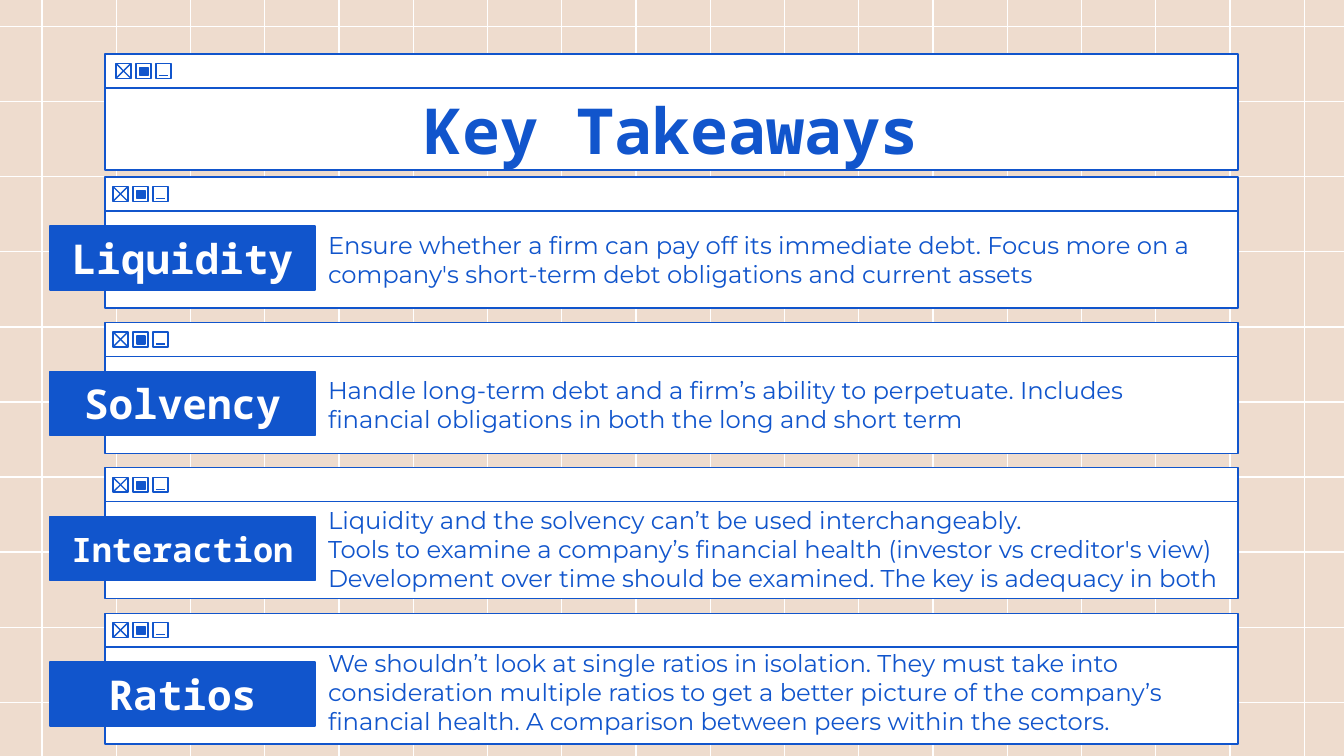
from lxml import etree
from pptx import Presentation
from pptx.dml.color import RGBColor
from pptx.enum.shapes import MSO_CONNECTOR, MSO_SHAPE
from pptx.enum.text import MSO_ANCHOR, MSO_AUTO_SIZE, PP_ALIGN
from pptx.oxml.ns import qn
from pptx.util import Emu, Pt

RECTANGLE = MSO_SHAPE.RECTANGLE
STRAIGHT = MSO_CONNECTOR.STRAIGHT
MIDDLE = MSO_ANCHOR.MIDDLE
NO_AUTOFIT = MSO_AUTO_SIZE.NONE
LEFT, CENTER = PP_ALIGN.LEFT, PP_ALIGN.CENTER

BLUE = RGBColor(0x11, 0x55, 0xCC)
WHITE = RGBColor(0xFF, 0xFF, 0xFF)
SAND = RGBColor(0xEE, 0xDC, 0xCE)
MONO, SANS = "Noto Sans Mono", "Montserrat"

# Lengths in px, 1344 to the 10-inch slide width
SLIDE_WIDTH, SLIDE_HEIGHT = 1344, 756
EMU_PER_PX = 914400 * 10 / SLIDE_WIDTH
LINE_WIDTH = Pt(0.75)
INSET = 13

WINDOW_LEFT, WINDOW_WIDTH = 105, 1133
BAR_HEIGHT, BODY_HEIGHT = 34, 97
TITLE_TOP, TITLE_HEIGHT = 54, 82
FIRST_WINDOW_TOP, WINDOW_STEP = 177, 145.4
BUTTON_SIZE, BUTTON_STEP = 15, 20

# Label, label size, paragraphs, text box top below window top, its height
TAKEAWAYS = [
    ("Liquidity", 22,
     ["Ensure whether a firm can pay off its immediate debt. Focus more on a "
      "company's short-term debt obligations and current assets"], 35, 94),
    ("Solvency", 22,
     ["Handle long-term debt and a firm’s ability to perpetuate. Includes "
      "financial obligations in both the long and short term"], 35, 94),
    ("Interaction", 18,
     ["Liquidity and the solvency can’t be used interchangeably.",
      "Tools to examine a company’s financial health "
      "(investor vs creditor's view)",
      "Development over time should be examined. "
      "The key is adequacy in both"], 34, 94),
    ("Ratios", 22,
     ["We shouldn’t look at single ratios in isolation. They must take into "
      "consideration multiple ratios to get a better picture of the company’s "
      "financial health. A comparison between peers within the sectors."],
     27, 103),
]


def px(length):
    return Emu(round(length * EMU_PER_PX))


def set_outline(shape, color):
    shape.line.color.rgb = color
    shape.line.width = LINE_WIDTH


def add_line(slide, x1, y1, x2, y2, color=BLUE):
    line = slide.shapes.add_connector(STRAIGHT, px(x1), px(y1), px(x2), px(y2))
    set_outline(line, color)
    etree.SubElement(line._element.spPr, qn("a:effectLst"))


def add_box(slide, left, top, width, height, fill=None):
    box = slide.shapes.add_shape(RECTANGLE, px(left), px(top), px(width), px(height))
    box.shadow.inherit = False
    set_outline(box, BLUE)
    if fill is None:
        box.fill.background()
    else:
        box.fill.solid()
        box.fill.fore_color.rgb = fill
    return box


def write_text(shape, paragraphs, *, font, size, color=BLUE, bold=False, align=LEFT):
    frame = shape.text_frame
    frame.text = "\n".join(paragraphs)
    frame.word_wrap = True
    frame.auto_size = NO_AUTOFIT
    frame.vertical_anchor = MIDDLE
    frame.margin_left = frame.margin_right = px(INSET)
    frame.margin_top = frame.margin_bottom = px(INSET)
    for paragraph in frame.paragraphs:
        paragraph.alignment = align
        for run in paragraph.runs:
            run.font.name = font
            run.font.size = Pt(size)
            run.font.bold = bold
            run.font.color.rgb = color


def add_grid(slide):
    for column in range(18):
        x = 42 + column * 74.25
        add_line(slide, x, 0, x, SLIDE_HEIGHT, WHITE)
    for row in range(10):
        y = 26.5 + row * 75.1
        add_line(slide, SLIDE_WIDTH, y, 0, y, WHITE)


def add_title_bar(slide, top, buttons_left):
    add_box(slide, WINDOW_LEFT, top, WINDOW_WIDTH, BAR_HEIGHT, WHITE)
    close, maximize, minimize = (buttons_left + i * BUTTON_STEP for i in range(3))
    y = top + 9.5
    for x in (close, maximize, minimize):
        add_box(slide, x, y, BUTTON_SIZE, BUTTON_SIZE)
    # Symbols: cross, filled square, dash
    add_line(slide, close + 1, y + 1, close + 14, y + 14)
    add_line(slide, close + 14, y + 1, close + 1, y + 14)
    add_box(slide, maximize + 4, y + 4, 8, 8, BLUE)
    add_line(slide, minimize + 3, y + 12, minimize + 12, y + 12)


def add_title(slide, text):
    title = slide.shapes.title
    slide.shapes._spTree.append(title._element)  # in front of the grid
    title.left, title.top = px(WINDOW_LEFT), px(TITLE_TOP + BAR_HEIGHT)
    title.width, title.height = px(WINDOW_WIDTH), px(TITLE_HEIGHT)
    title.fill.solid()
    title.fill.fore_color.rgb = WHITE
    set_outline(title, BLUE)
    write_text(title, [text], font=MONO, size=34, bold=True, align=CENTER)
    add_title_bar(slide, TITLE_TOP, 116)


def add_takeaway(slide, top, label, label_size, paragraphs, text_offset, text_height):
    add_box(slide, WINDOW_LEFT, top + BAR_HEIGHT, WINDOW_WIDTH, BODY_HEIGHT, WHITE)
    add_title_bar(slide, top, 113)
    body = slide.shapes.add_textbox(px(315), px(top + text_offset),
                                    px(924), px(text_height))
    write_text(body, paragraphs, font=SANS, size=13)
    tag = add_box(slide, 50, top + 49, 265, 64, BLUE)
    write_text(tag, [label], font=MONO, size=label_size, color=WHITE,
               bold=True, align=CENTER)


def main():
    presentation = Presentation()
    presentation.slide_width = px(SLIDE_WIDTH)
    presentation.slide_height = px(SLIDE_HEIGHT)
    slide = presentation.slides.add_slide(presentation.slide_layouts[5])

    # Backdrop
    slide.background.fill.solid()
    slide.background.fill.fore_color.rgb = SAND
    add_grid(slide)

    # Windows
    add_title(slide, "Key Takeaways")
    for index, takeaway in enumerate(TAKEAWAYS):
        add_takeaway(slide, FIRST_WINDOW_TOP + index * WINDOW_STEP, *takeaway)

    presentation.save("out.pptx")


if __name__ == "__main__":
    main()
